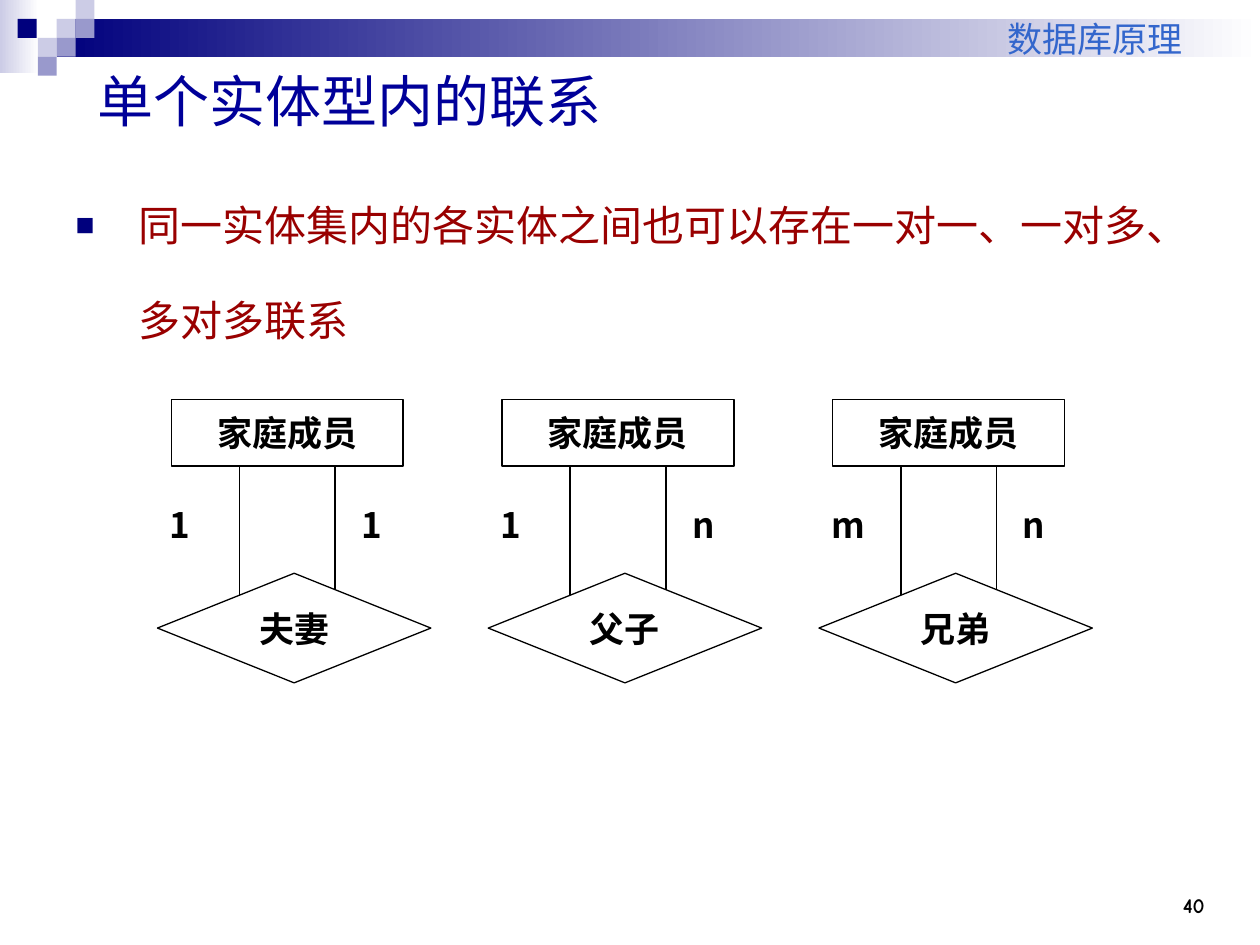
from pptx import Presentation
from pptx.dml.color import RGBColor
from pptx.enum.shapes import MSO_CONNECTOR, MSO_SHAPE
from pptx.enum.text import MSO_ANCHOR, MSO_AUTO_SIZE, PP_ALIGN
from pptx.oxml.ns import qn
from pptx.util import Inches, Pt
from lxml.etree import SubElement

NAVY, LILAC, MAUVE = "00007D", "CCCCE6", "9999CC"
WHITE, BLACK = "FFFFFF", "000000"
COMIC, NOTO = "Comic Neue", "Noto Sans CJK SC"


def color(code):
    return RGBColor.from_string(code)


def add_bullet(para, char, code, size, indent):
    props = para._p.get_or_add_pPr()
    props.set("marL", str(Inches(indent)))
    props.set("indent", str(-Inches(indent)))
    SubElement(SubElement(props, qn("a:buClr")), qn("a:srgbClr"), val=code)
    SubElement(props, qn("a:buSzPct"), val=str(size * 1000))
    SubElement(props, qn("a:buFont"), typeface="Arial")
    SubElement(props, qn("a:buChar"), char=char)


def put_text(shape, text, font=NOTO, size=20, code=BLACK, bold=False,
             align=PP_ALIGN.LEFT, anchor=MSO_ANCHOR.TOP, right=0.1):
    frame = shape.text_frame
    frame.word_wrap = True
    frame.auto_size = MSO_AUTO_SIZE.NONE
    frame.vertical_anchor = anchor
    frame.margin_left, frame.margin_right = Inches(0.1), Inches(right)
    frame.margin_top = frame.margin_bottom = Inches(0.05)
    para = frame.paragraphs[0]
    para.alignment = align
    para.space_before = Pt(0)
    run = para.add_run()
    run.text = text
    run.font.name, run.font.size, run.font.bold = font, Pt(size), bold
    run.font.color.rgb = color(code)
    # East Asian characters use the same font
    SubElement(run.font._element, qn("a:ea"), typeface=font)
    return para


class Deck:
    def __init__(self):
        self.show = Presentation()
        self.show.slide_width, self.show.slide_height = Inches(10), Inches(7.5)
        self.slide = self.show.slides.add_slide(self.show.slide_layouts[1])
        self.shapes = self.slide.shapes

    def holder(self, index, box, text, **style):
        shape = self.slide.placeholders[index]
        shape.left, shape.top, shape.width, shape.height = map(Inches, box)
        return put_text(shape, text, **style)

    def label(self, box, text, **style):
        return put_text(self.shapes.add_textbox(*map(Inches, box)), text, **style)

    def block(self, box, fill, kind=MSO_SHAPE.RECTANGLE, fade=None, line=None):
        shape = self.shapes.add_shape(kind, *map(Inches, box))
        shape.shadow.inherit = False
        if fade:
            shape.fill.gradient()
            shape.fill.gradient_angle = 0
            for stop, code in zip(shape.fill.gradient_stops, (fill, fade)):
                stop.color.rgb = color(code)
        else:
            shape.fill.solid()
            shape.fill.fore_color.rgb = color(fill)
        if line:
            shape.line.color.rgb = color(line)
            shape.line.width = Pt(0.75)
        else:
            shape.line.fill.background()
        return shape

    def node(self, box, text, kind):
        shape = self.block(box, WHITE, kind, line=BLACK)
        put_text(shape, text, bold=True, align=PP_ALIGN.CENTER,
                 anchor=MSO_ANCHOR.MIDDLE)

    def link(self, x, top, end):
        line = self.shapes.add_connector(
            MSO_CONNECTOR.STRAIGHT, *map(Inches, (x, top, x, end)))
        line.line.color.rgb = color(BLACK)
        line.line.width = Pt(0.75)
        SubElement(line._element.spPr, qn("a:effectLst"))

    def relation(self, left, name, marks):
        for step, mark in enumerate(marks):
            self.link(left + 0.65 + 0.76 * step, 3.69, 4.72)
            self.label((left + 1.52 * step, 3.95, 0.54, 0.52), mark, bold=True)
        self.node((left + 0.11, 3.17, 1.84, 0.53), "家庭成员", MSO_SHAPE.RECTANGLE)
        self.node((left, 4.55, 2.17, 0.87), name, MSO_SHAPE.DIAMOND)


def main():
    deck = Deck()

    # Top band and its small squares
    deck.block((0, 0, 0.31, 0.58), LILAC, fade=WHITE)
    deck.block((0.45, 0.15, 9.55, 0.3), NAVY, fade=WHITE)
    tiles = [(0.45, 0.15, LILAC), (0.6, 0, LILAC), (0.6, 0.15, MAUVE),
             (0.3, 0.3, LILAC), (0.14, 0.15, NAVY), (0.45, 0.3, MAUVE),
             (0.3, 0.45, MAUVE)]
    for x, y, code in tiles:
        deck.block((x, y, 0.15, 0.15), code)

    # Page number and course name
    deck.label((8.83, 6.83, 0.83, 0.5), "40", font=COMIC, size=12, bold=True,
               align=PP_ALIGN.RIGHT, anchor=MSO_ANCHOR.BOTTOM)
    deck.label((3.83, 0, 5.92, 0.52), "数据库原理", font=COMIC, code="3366CC",
               align=PP_ALIGN.RIGHT, anchor=MSO_ANCHOR.BOTTOM, right=0.36)

    # Title and body
    deck.holder(0, (0.67, 0.42, 9, 0.75), "单个实体型内的联系", font=COMIC,
                size=32, code="000099", anchor=MSO_ANCHOR.MIDDLE)
    para = deck.holder(1, (0.5, 1.17, 9, 5.83),
                       "同一实体集内的各实体之间也可以存在一对一、一对多、多对多联系",
                       font=COMIC, size=24, code="990000")
    para.line_spacing = 1.9
    add_bullet(para, "■", NAVY, 75, 0.5)

    # Three relations, evenly spaced
    for step, (name, marks) in enumerate(
            [("夫妻", "11"), ("父子", "1n"), ("兄弟", "mn")]):
        deck.relation(1.25 + 2.625 * step, name, marks)

    deck.show.save("out.pptx")


if __name__ == "__main__":
    main()
